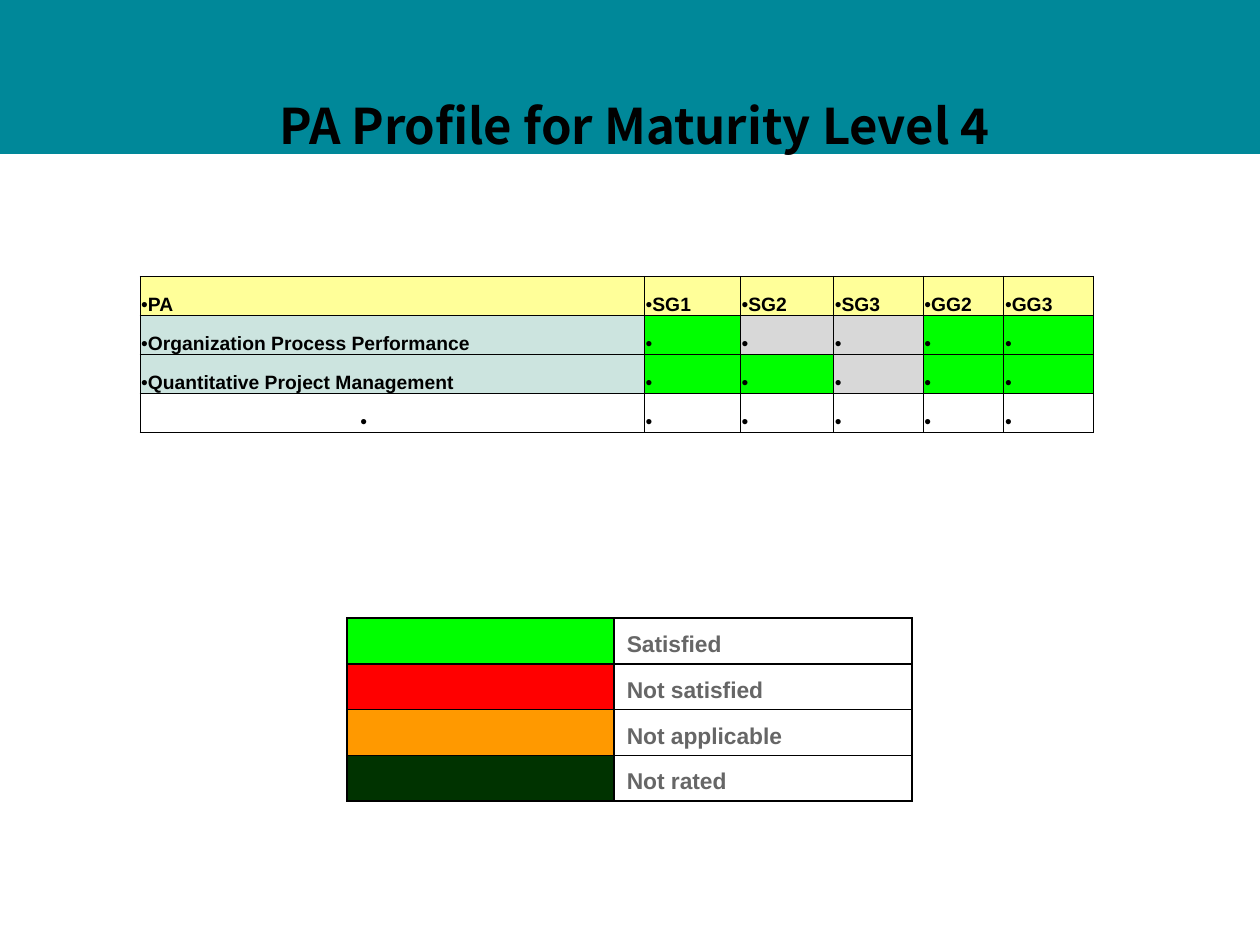
"""Build the process area profile slide for maturity level 4."""
from dataclasses import dataclass
from typing import Optional

from lxml import etree
from pptx import Presentation
from pptx import util as u
from pptx.dml import color
from pptx.enum import shapes, text
from pptx.oxml import ns

PX = 9144


@dataclass(frozen=True)
class Theme:
    band: str = "008899"
    ink: str = "000000"
    label: str = "666666"
    header: str = "FFFF99"
    area: str = "CCE4DF"
    satisfied: str = "00FF00"
    unsatisfied: str = "FF0000"
    inapplicable: str = "FF9900"
    unrated: str = "003300"
    no_goal: str = "D8D8D8"
    title_font: str = "Noto Sans CJK SC"
    body_font: str = "Arial"
    title_size: float = 28
    profile_size: float = 11
    legend_size: float = 13


THEME = Theme()


@dataclass(frozen=True)
class Entry:
    wording: str = ""
    fill: Optional[str] = None
    bulleted: bool = False
    centred: bool = False


@dataclass(frozen=True)
class Grid:
    left: int
    top: int
    height: int
    columns: tuple[int, ...]
    rows: list[list[Entry]]
    margins: tuple[int, int, int, int]
    border: float
    size: float
    ink: str
    space_before: float = 0


def px(length: int) -> u.Emu:
    return u.Emu(length * PX)


def rgb(value: str) -> color.RGBColor:
    return color.RGBColor.from_string(value)


def style(paragraph, font: str, size: float, ink: str) -> None:
    for run in paragraph.runs:
        run.font.name = font
        run.font.size = u.Pt(size)
        run.font.bold = True
        run.font.color.rgb = rgb(ink)


def add_bullet(paragraph) -> None:
    properties = paragraph._p.get_or_add_pPr()
    properties.set("marL", "0")
    properties.set("indent", "0")
    etree.SubElement(properties, ns.qn("a:buFont"), typeface=THEME.body_font)
    etree.SubElement(properties, ns.qn("a:buChar"), char="•")


def add_borders(cell, width: float) -> None:
    properties = cell._tc.get_or_add_tcPr()
    for side in ("a:lnL", "a:lnR", "a:lnT", "a:lnB"):
        line = etree.SubElement(properties, ns.qn(side), w=str(u.Pt(width)))
        solid = etree.SubElement(line, ns.qn("a:solidFill"))
        etree.SubElement(solid, ns.qn("a:srgbClr"), val=THEME.ink)


def fill_cell(cell, entry: Entry, grid: Grid) -> None:
    add_borders(cell, grid.border)
    if entry.fill:
        cell.fill.solid()
        cell.fill.fore_color.rgb = rgb(entry.fill)
    else:
        cell.fill.background()
    margins = grid.margins if entry.wording else (0, 0, 0, 0)
    cell.margin_left, cell.margin_top, cell.margin_right, cell.margin_bottom = map(px, margins)
    cell.vertical_anchor = text.MSO_ANCHOR.BOTTOM
    paragraph = cell.text_frame.paragraphs[0]
    paragraph.text = entry.wording
    if grid.space_before:
        paragraph.space_before = u.Pt(grid.space_before)
    if entry.centred:
        paragraph.alignment = text.PP_ALIGN.CENTER
        cell.margin_right = px(42)
    if entry.bulleted:
        add_bullet(paragraph)
    style(paragraph, THEME.body_font, grid.size, grid.ink)


def draw_grid(slide, grid: Grid) -> None:
    table = slide.shapes.add_table(
        len(grid.rows), len(grid.columns), px(grid.left), px(grid.top),
        px(sum(grid.columns)), px(grid.height)).table
    table.first_row = table.horz_banding = False
    for column, width in zip(table.columns, grid.columns):
        column.width = px(width)
    for row, entries in zip(table.rows, grid.rows):
        for cell, entry in zip(row.cells, entries):
            fill_cell(cell, entry, grid)


def draw_heading(slide, wording: str) -> None:
    band = slide.shapes.add_shape(shapes.MSO_SHAPE.RECTANGLE, 0, 0, px(999), px(122))
    band.shadow.inherit = False
    band.fill.solid()
    band.fill.fore_color.rgb = rgb(THEME.band)
    band.line.fill.background()
    frame = slide.shapes.add_textbox(px(108), px(66), px(790), px(61)).text_frame
    frame.word_wrap = True
    frame.margin_top = 0
    frame.vertical_anchor = text.MSO_ANCHOR.BOTTOM
    frame.text = wording
    title = frame.paragraphs[0]
    title.alignment = text.PP_ALIGN.CENTER
    style(title, THEME.title_font, THEME.title_size, THEME.ink)


def profile_row(area: str, ratings: str) -> list[Entry]:
    fills = {"S": THEME.satisfied, "-": THEME.no_goal}
    return [Entry(area, THEME.area, bulleted=True)] + [
        Entry(" ", fills[rating], bulleted=True) for rating in ratings]


def profile() -> Grid:
    headings = ("PA", "SG1", "SG2", "SG3", "GG2", "GG3")
    rows = [
        [Entry(heading, THEME.header, bulleted=True) for heading in headings],
        profile_row("Organization Process Performance", "S--SS"),
        profile_row("Quantitative Project Management", "SS-SS"),
        [Entry(" ", bulleted=True, centred=True)] + [Entry(" ", bulleted=True)] * 5,
    ]
    return Grid(111, 219, 124, (400, 76, 74, 71, 64, 71), rows, (1, 1, 1, 0),
                0.5, THEME.profile_size, THEME.ink)


def legend() -> Grid:
    ratings = {
        "Satisfied": THEME.satisfied,
        "Not satisfied": THEME.unsatisfied,
        "Not applicable": THEME.inapplicable,
        "Not rated": THEME.unrated,
    }
    rows = [[Entry(fill=fill), Entry(rating)] for rating, fill in ratings.items()]
    return Grid(275, 490, 145, (212, 236), rows, (10, 5, 10, 5),
                1, THEME.legend_size, THEME.label, space_before=2.6)


def main() -> None:
    deck = Presentation()
    deck.slide_width, deck.slide_height = px(999), px(749)
    slide = deck.slides.add_slide(deck.slide_layouts[6])
    draw_heading(slide, "PA Profile for Maturity Level 4")
    draw_grid(slide, profile())
    draw_grid(slide, legend())
    deck.save("out.pptx")


if __name__ == "__main__":
    main()
